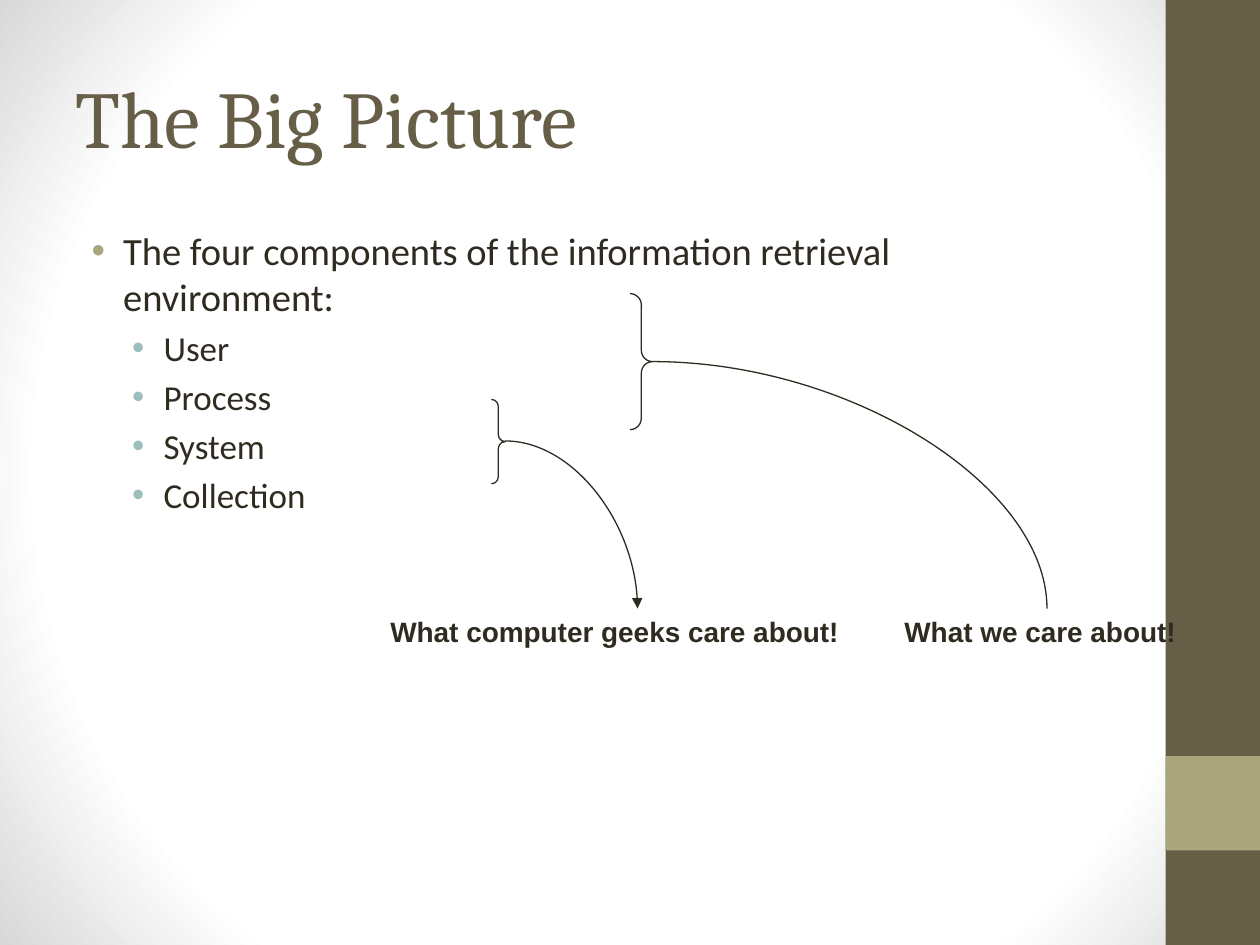
from pptx import Presentation
from pptx.dml.color import RGBColor
from pptx.enum.shapes import MSO_CONNECTOR, MSO_SHAPE
from pptx.enum.text import MSO_ANCHOR
from pptx.oxml import parse_xml
from pptx.oxml.ns import nsdecls, qn
from pptx.util import Inches, Pt
from lxml.etree import SubElement

COLORS = {
    "ink": "2F2B20",
    "brown": "675E47",
    "olive": "A9A57C",
    "teal": "9CBEBD",
    "white": "FFFFFF",
    "grey": "D8D8D8",
}
CAPTION_TOP = 4.83


def rgb(name):
    """Return the named colour."""
    return RGBColor.from_string(COLORS[name])


def set_background(page):
    """Give the page a radial gradient that darkens at the corners."""
    stops = "".join(
        f'<a:gs pos="{position * 1000}"><a:srgbClr val="{COLORS[name]}"/></a:gs>'
        for position, name in ((0, "white"), (75, "white"), (100, "grey"))
    )
    background = parse_xml(
        f'<p:bg {nsdecls("p", "a")}><p:bgPr><a:gradFill rotWithShape="1">'
        f'<a:gsLst>{stops}</a:gsLst><a:path path="circle">'
        '<a:fillToRect l="50000" t="50000" r="50000" b="50000"/></a:path>'
        "</a:gradFill><a:effectLst/></p:bgPr></p:bg>"
    )
    page.element.cSld.insert(0, background)


def add_band(page, top, height, color):
    """Add a block of the right-hand side bar."""
    band = page.shapes.add_shape(
        MSO_SHAPE.RECTANGLE, Inches(9.25), Inches(top), Inches(0.75), Inches(height)
    )
    band.shadow.inherit = False
    band.fill.solid()
    band.fill.fore_color.rgb = rgb(color)
    band.line.fill.background()


def add_box(page, left, top, width, height, wrap=True):
    """Add an empty text box and return its text frame."""
    box = page.shapes.add_textbox(
        Inches(left), Inches(top), Inches(width), Inches(height)
    )
    box.text_frame.word_wrap = wrap
    return box.text_frame


def add_span(para, text, size, font, color="ink", bold=False):
    """Add one formatted run to a paragraph."""
    span = para.add_run()
    span.text = text
    span.font.size = Pt(size)
    span.font.name = font
    span.font.bold = bold
    span.font.color.rgb = rgb(color)


def set_bullet(para, indent, color):
    """Give a paragraph a hanging coloured bullet."""
    properties = para._p.get_or_add_pPr()
    properties.set("marL", str(Inches(indent)))
    properties.set("indent", str(Inches(-0.25)))
    bullet_color = SubElement(properties, qn("a:buClr"))
    SubElement(bullet_color, qn("a:srgbClr")).set("val", COLORS[color])
    SubElement(properties, qn("a:buFont")).set("typeface", "Arial")
    SubElement(properties, qn("a:buChar")).set("char", "•")


def add_title(page, text):
    """Add the page title."""
    frame = add_box(page, 0.5, 0.3, 8.33, 1.25)
    frame.vertical_anchor = MSO_ANCHOR.MIDDLE
    add_span(frame.paragraphs[0], text, 46, "Cambria", "brown")


def add_outline(page, heading, items):
    """Add a bulleted heading with its sub-items."""
    frame = add_box(page, 0.5, 1.75, 8.33, 5.25)
    para = frame.paragraphs[0]
    set_bullet(para, 0.38, "olive")
    add_span(para, heading, 22, "Calibri")
    for item in items:
        para = frame.add_paragraph()
        para.level = 1
        para.space_before = Pt(4)
        set_bullet(para, 0.7, "teal")
        add_span(para, item, 20, "Calibri")


def add_caption(page, left, width, text):
    """Add a bold caption below the outline."""
    frame = add_box(page, left, CAPTION_TOP, width, 0.37, wrap=False)
    add_span(frame.paragraphs[0], text, 16, "Arial", bold=True)


def style_line(line):
    """Apply the thin dark stroke."""
    line.color.rgb = rgb("ink")
    line.width = Pt(0.75)


def add_brace(page, left, top, width, height):
    """Add a right brace."""
    brace = page.shapes.add_shape(
        MSO_SHAPE.RIGHT_BRACE, Inches(left), Inches(top), Inches(width), Inches(height)
    )
    brace.shadow.inherit = False
    brace.fill.background()
    brace.adjustments[0] = 0.5
    brace.adjustments[1] = 0.5
    style_line(brace.line)


def add_curve(page, left, top, right, arrow=False):
    """Add a quarter-turn curve down to the captions, with an optional arrowhead."""
    curve = page.shapes.add_connector(
        MSO_CONNECTOR.CURVE,
        Inches(left),
        Inches(top),
        Inches(right),
        Inches(CAPTION_TOP),
    )
    properties = curve._element.spPr
    properties.find(qn("a:prstGeom")).set("prst", "curvedConnector2")
    style_line(curve.line)
    if arrow:
        SubElement(curve.line._get_or_add_ln(), qn("a:tailEnd")).set("type", "triangle")
    SubElement(properties, qn("a:effectLst"))


def main():
    """Build and save the slide."""
    deck = Presentation()
    deck.slide_width, deck.slide_height = Inches(10), Inches(7.5)
    page = deck.slides.add_slide(deck.slide_layouts[6])
    set_background(page)
    add_band(page, 0, 7.5, "brown")
    add_band(page, 6, 0.75, "olive")
    add_title(page, "The Big Picture")
    add_outline(
        page,
        "The four components of the information retrieval environment:",
        ("User", "Process", "System", "Collection"),
    )
    add_brace(page, 3.9, 3.17, 0.11, 0.67)
    add_caption(page, 3, 3.77, "What computer geeks care about!")
    add_curve(page, 4.01, 3.5, 5.06, arrow=True)
    add_caption(page, 7.08, 2.36, "What we care about!")
    add_brace(page, 5, 2.33, 0.18, 1.08)
    add_curve(page, 5.18, 2.87, 8.31)
    deck.save("out.pptx")


if __name__ == "__main__":
    main()
